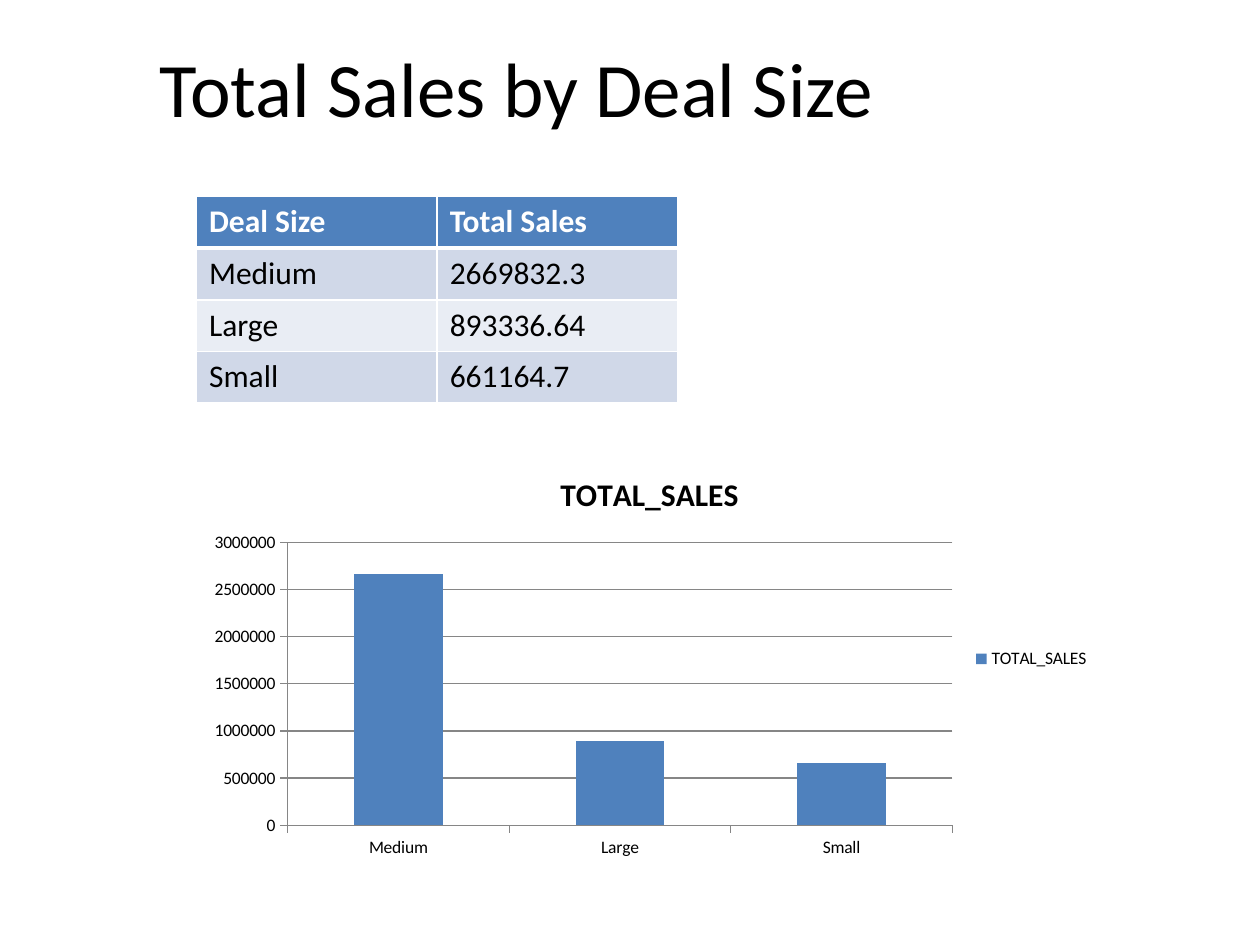
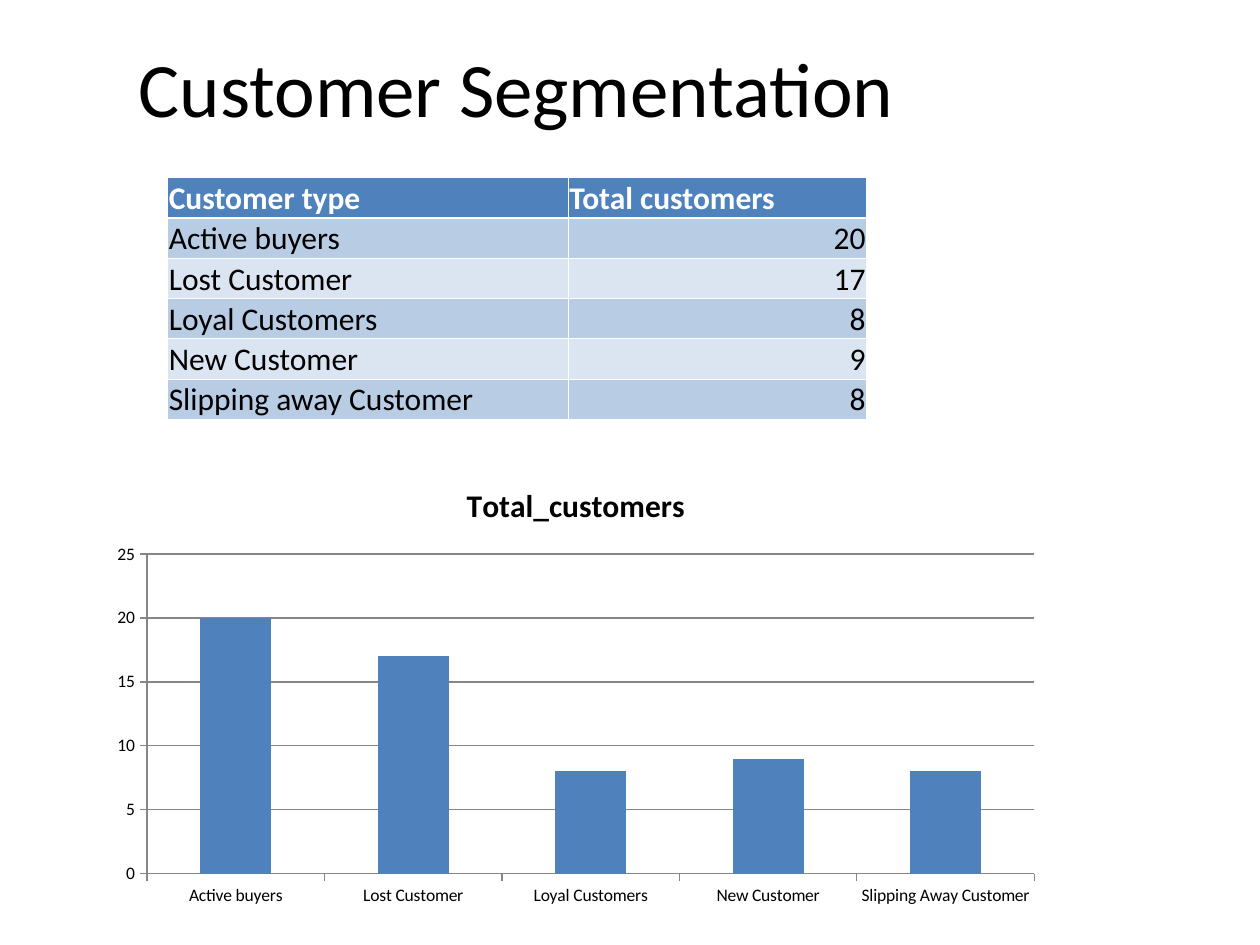
"""Build two sales slides, each with a title, a table and a column chart."""
from lxml import etree
from pptx import Presentation
from pptx import util as u
from pptx.chart import data
from pptx.dml.color import RGBColor
from pptx.enum import chart as ch
from pptx.enum import text
from pptx.oxml import ns

BLACK = RGBColor(0x00, 0x00, 0x00)
WHITE = RGBColor(0xFF, 0xFF, 0xFF)
BLUE = RGBColor(0x4F, 0x81, 0xBD)
GRAY = RGBColor(0x86, 0x86, 0x86)
SALES_BANDS = (RGBColor(0xD0, 0xD8, 0xE8), RGBColor(0xE9, 0xED, 0xF4))
CUSTOMER_BANDS = (RGBColor(0xB8, 0xCC, 0xE4), RGBColor(0xDB, 0xE5, 0xF1))


class SalesDeck:
    def __init__(self):
        self.deck = Presentation()
        self.deck.slide_width = u.Inches(10)
        self.deck.slide_height = u.Inches(7.5)
        self.page = None

    def set_font(self, font, size, color=BLACK, bold=False):
        font.name = "Calibri"
        font.size = u.Pt(size)
        font.bold = bold
        font.color.rgb = color

    def add_page(self, title):
        self.page = self.deck.slides.add_slide(self.deck.slide_layouts[0])
        subtitle = self.page.placeholders[1].element
        subtitle.getparent().remove(subtitle)
        box = self.page.shapes.title
        box.left, box.top = u.Inches(0), u.Inches(0.16)
        box.width, box.height = u.Inches(8.2), u.Inches(1.06)
        box.text_frame.text = title
        box.text_frame.vertical_anchor = text.MSO_ANCHOR.MIDDLE
        para = box.text_frame.paragraphs[0]
        para.alignment = text.PP_ALIGN.CENTER
        self.set_font(para.font, 44)

    def add_border(self, cell, side, points):
        properties = cell._tc.get_or_add_tcPr()
        line = etree.SubElement(properties, ns.qn(f"a:ln{side}"), w=str(u.Pt(points)))
        fill = etree.SubElement(line, ns.qn("a:solidFill"))
        etree.SubElement(fill, ns.qn("a:srgbClr"), val=str(WHITE))

    def add_table(self, left, top, widths, row_height, rows, bands, border, compact=False):
        table = self.page.shapes.add_table(
            len(rows), len(widths), u.Inches(left), u.Inches(top),
            u.Inches(sum(widths)), u.Inches(row_height * len(rows))).table
        for column, width in zip(table.columns, widths):
            column.width = u.Inches(width)
        for r, row in enumerate(rows):
            table.rows[r].height = u.Inches(row_height)
            for c, value in enumerate(row):
                cell = table.cell(r, c)
                header = r == 0
                for side in "LRTB":
                    thick = (header and side == "B") or (r == 1 and side == "T")
                    self.add_border(cell, side, border * 3 if thick else border)
                cell.fill.solid()
                cell.fill.fore_color.rgb = BLUE if header else bands[(r - 1) % 2]
                cell.text = value
                para = cell.text_frame.paragraphs[0]
                self.set_font(para.font, 18, WHITE if header else BLACK, header)
                if compact:
                    cell.vertical_anchor = text.MSO_ANCHOR.BOTTOM
                    cell.margin_left = cell.margin_right = cell.margin_top = u.Inches(0.01)
                    cell.margin_bottom = 0
                    if c and not header:
                        para.alignment = text.PP_ALIGN.RIGHT

    def add_columns(self, left, top, width, height, name, categories, values, legend=False):
        chart_data = data.CategoryChartData()
        chart_data.categories = categories
        chart_data.add_series(name, values)
        chart = self.page.shapes.add_chart(
            ch.XL_CHART_TYPE.COLUMN_CLUSTERED, u.Inches(left), u.Inches(top),
            u.Inches(width), u.Inches(height), chart_data).chart
        self.set_font(chart.font, 10)
        chart.has_title = True
        chart.chart_title.include_in_layout = False
        chart.chart_title.text_frame.text = name
        self.set_font(chart.chart_title.text_frame.paragraphs[0].font, 18, bold=True)
        chart.has_legend = legend
        if legend:
            chart.legend.position = ch.XL_LEGEND_POSITION.RIGHT
            chart.legend.include_in_layout = False
        plot = chart.plots[0]
        plot.vary_by_categories = False
        plot.gap_width = 150
        plot.series[0].format.fill.solid()
        plot.series[0].format.fill.fore_color.rgb = BLUE
        chart.value_axis.has_major_gridlines = True
        for axis in (chart.category_axis, chart.value_axis):
            axis.major_tick_mark = ch.XL_TICK_MARK.OUTSIDE
            axis.minor_tick_mark = ch.XL_TICK_MARK.NONE
        for part in (chart.category_axis, chart.value_axis, chart.value_axis.major_gridlines):
            part.format.line.color.rgb = GRAY
            part.format.line.width = u.Pt(0.75)

    def add_sales_page(self):
        self.add_page("Total Sales by Deal Size")
        rows = [("Deal Size", "Total Sales"), ("Medium", "2669832.3"),
                ("Large", "893336.64"), ("Small", "661164.7")]
        self.add_table(1.56, 1.56, (1.91, 1.91), 0.41, rows, SALES_BANDS, 1)
        self.add_columns(1.56, 3.59, 7.19, 3.28, "TOTAL_SALES",
                         [row[0] for row in rows[1:]], (2670000, 890000, 660000), legend=True)

    def add_customer_page(self):
        self.add_page("Customer Segmentation")
        rows = [("Customer type", "Total customers"), ("Active buyers", "20"),
                ("Lost Customer", "17"), ("Loyal Customers", "8"),
                ("New Customer", "9"), ("Slipping away Customer", "8")]
        self.add_table(1.33, 1.41, (3.18, 2.37), 0.32, rows, CUSTOMER_BANDS, 0.5, compact=True)
        self.add_columns(0.78, 3.67, 7.58, 3.59, "Total_customers",
                         [row[0].replace("away", "Away") for row in rows[1:]],
                         [int(row[1]) for row in rows[1:]])


def main():
    sales = SalesDeck()
    sales.add_sales_page()
    sales.add_customer_page()
    sales.deck.save("out.pptx")


if __name__ == "__main__":
    main()
